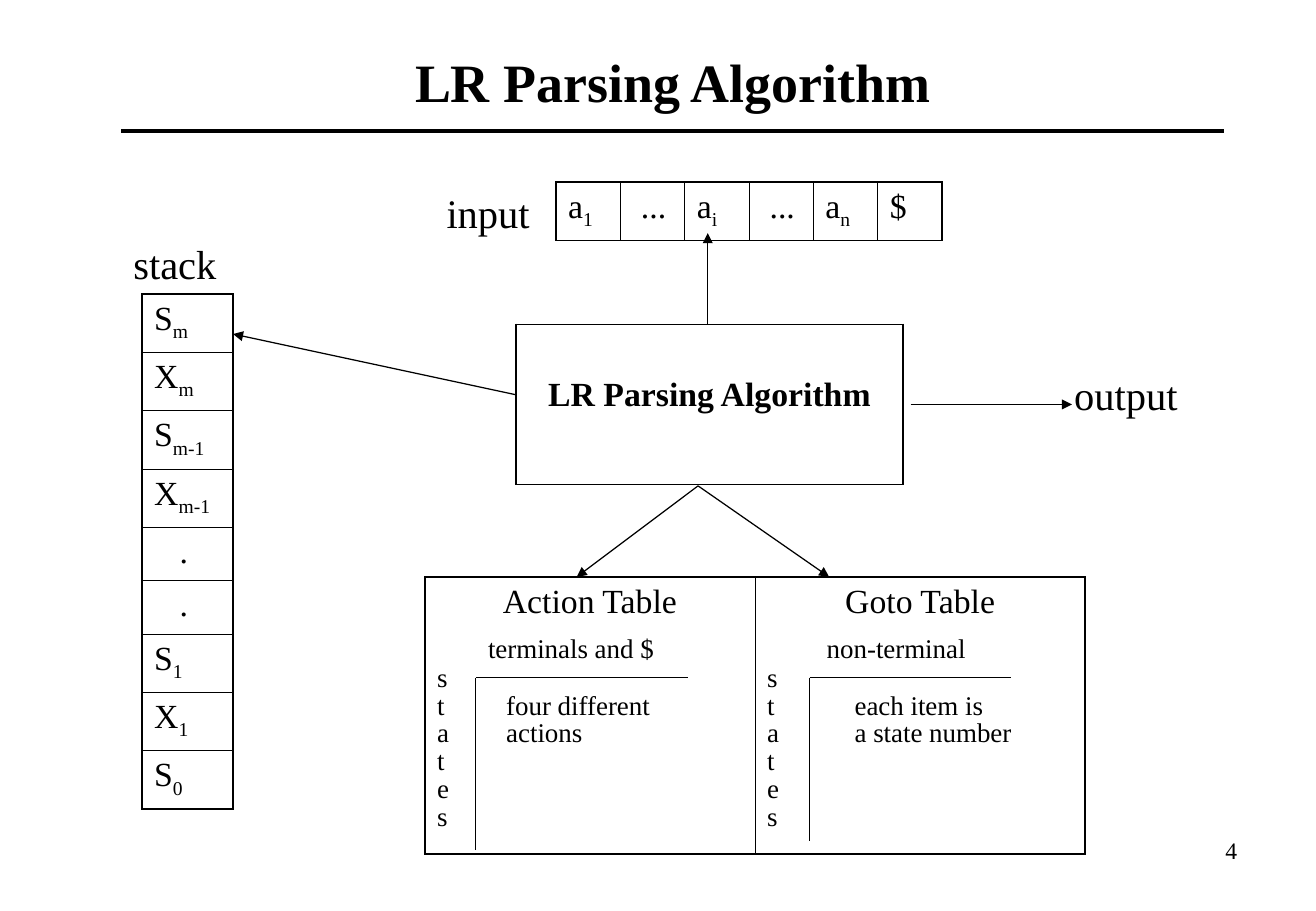
import pptx
import pptx.dml.color
import pptx.enum.shapes
import pptx.enum.text
import pptx.oxml
import pptx.oxml.ns
import pptx.util

PX = 9144  # 100 px to the inch
FONT = "Times New Roman"
BLACK = "000000"
OUTER, INNER = 1.08, 0.45
NAMESPACE = pptx.oxml.ns.nsdecls("a")
ALIGN = pptx.enum.text.PP_ALIGN
MIDDLE = pptx.enum.text.MSO_ANCHOR.MIDDLE


def write(paragraph, text, size, bold=False, indent=0):
    """Write text into a paragraph; what follows an underscore is subscript."""
    base, _, subscript = text.partition("_")
    for part, baseline in ((base, 0), (subscript, -25000)):
        if part:
            run = paragraph.add_run()
            run.text = part
            run.font.name = FONT
            run.font.size = pptx.util.Pt(size)
            run.font.bold = bold
            run.font.color.rgb = pptx.dml.color.RGBColor.from_string(BLACK)
            if baseline:
                run._r.get_or_add_rPr().set("baseline", str(baseline))
    if indent:
        properties = paragraph._p.get_or_add_pPr()
        properties.set("marL", str(indent * PX))
        properties.set("indent", "0")


def add_grid(left, top, widths, heights):
    """Add an unfilled table with a heavier outer border."""
    table = slide.shapes.add_table(
        len(heights), len(widths), left * PX, top * PX,
        sum(widths) * PX, sum(heights) * PX).table
    table.first_row = table.horz_banding = False
    for column, width in zip(table.columns, widths):
        column.width = width * PX
    for row, height in zip(table.rows, heights):
        row.height = height * PX
    for i in range(len(heights)):
        for j in range(len(widths)):
            cell = table.cell(i, j)
            edges = {"lnL": j == 0, "lnR": j == len(widths) - 1,
                     "lnT": i == 0, "lnB": i == len(heights) - 1}
            for tag, is_outer in edges.items():
                width = pptx.util.Pt(OUTER if is_outer else INNER)
                cell._tc.get_or_add_tcPr().append(pptx.oxml.parse_xml(
                    f'<a:{tag} {NAMESPACE} w="{width}"><a:solidFill>'
                    f'<a:srgbClr val="{BLACK}"/></a:solidFill></a:{tag}>'))
            cell.fill.background()
    return table


presentation = pptx.Presentation()
presentation.slide_width = 1084 * PX
presentation.slide_height = 750 * PX
slide = presentation.slides.add_slide(presentation.slide_layouts[5])

title = slide.shapes.title
title.left, title.top, title.width, title.height = 42 * PX, 17 * PX, 1025 * PX, 100 * PX
title.text_frame.vertical_anchor = MIDDLE
title.text_frame.paragraphs[0].alignment = ALIGN.CENTER
write(title.text_frame.paragraphs[0], "LR Parsing Algorithm", 32, bold=True)

labels = [
    ("4", 776, 683, 253, 52, 14, ALIGN.RIGHT),
    ("stack", 100, 192, 96, 50, 24, ALIGN.LEFT),
    ("input", 358, 150, 96, 50, 24, ALIGN.LEFT),
    ("output", 875, 300, 115, 50, 24, ALIGN.LEFT),
]
for text, left, top, width, height, size, alignment in labels:
    box = slide.shapes.add_textbox(left * PX, top * PX, width * PX, height * PX)
    box.text_frame.word_wrap = True
    box.text_frame.paragraphs[0].alignment = alignment
    write(box.text_frame.paragraphs[0], text, size)

stack_symbols = ["S_m", "X_m", "S_m-1", "X_m-1", ".", ".", "S_1", "X_1", "S_0"]
stack = add_grid(117, 242, [75], [44 if s == "." else 48 for s in stack_symbols])
for i, symbol in enumerate(stack_symbols):
    write(stack.cell(i, 0).text_frame.paragraphs[0], symbol, 20,
          indent=21 if symbol == "." else 0)

input_symbols = ["a_1", "...", "a_i", "...", "a_n", "$"]
input_tape = add_grid(458, 150, [53] * len(input_symbols), [48])
for j, symbol in enumerate(input_symbols):
    write(input_tape.cell(0, j).text_frame.paragraphs[0], symbol, 20,
          indent=7 if symbol == "..." else 0)

parser = add_grid(425, 267, [319], [132]).cell(0, 0)
parser.vertical_anchor = MIDDLE
parser.margin_bottom = 21 * PX
parser.text_frame.paragraphs[0].alignment = ALIGN.CENTER
write(parser.text_frame.paragraphs[0], "LR Parsing Algorithm", 20, bold=True)

parsing_tables = [
    ("Action Table", "terminals and $", 42, ["four different", "actions"], 57),
    ("Goto Table", "non-terminal", 49, ["each item is", "a state number"], 72),
]
tables = add_grid(350, 475, [272, 272], [228])
for j, (heading, columns, indent, notes, tab) in enumerate(parsing_tables):
    frame = tables.cell(0, j).text_frame
    frame.paragraphs[0].alignment = ALIGN.CENTER
    write(frame.paragraphs[0], heading, 20)
    paragraph = frame.add_paragraph()
    paragraph.space_before = pptx.util.Pt(8)
    write(paragraph, columns, 16, indent=indent)
    note_rows = dict(zip((1, 2), notes))
    for i, letter in enumerate("states"):
        paragraph = frame.add_paragraph()
        paragraph.line_spacing = 0.7
        paragraph.space_before = pptx.util.Pt(4)
        if i in note_rows:
            paragraph._p.get_or_add_pPr().append(pptx.oxml.parse_xml(
                f'<a:tabLst {NAMESPACE}><a:tab pos="{tab * PX}" algn="l"/></a:tabLst>'))
            letter += "\t" + note_rows[i]
        write(paragraph, letter, 16)

# x1, y1, x2, y2, width in points, arrowhead
lines = [
    (392, 558, 567, 558, 0.75, False),
    (392, 558, 392, 700, 0.75, False),
    (667, 558, 833, 558, 0.75, False),
    (667, 558, 667, 692, 0.75, False),
    (425, 325, 192, 275, 0.75, True),
    (575, 400, 475, 475, 0.75, True),
    (575, 400, 683, 475, 0.75, True),
    (583, 267, 583, 192, 0.75, True),
    (750, 333, 883, 333, 0.75, True),
    (100, 108, 1008, 108, 2.25, False),
]
for x1, y1, x2, y2, width, has_arrow in lines:
    connector = slide.shapes.add_connector(
        pptx.enum.shapes.MSO_CONNECTOR.STRAIGHT, x1 * PX, y1 * PX, x2 * PX, y2 * PX)
    connector.line.width = pptx.util.Pt(width)
    connector.line.color.rgb = pptx.dml.color.RGBColor.from_string(BLACK)
    if has_arrow:
        connector.line._get_or_add_ln().append(
            pptx.oxml.parse_xml(f'<a:tailEnd {NAMESPACE} type="triangle"/>'))
    connector._element.spPr.append(pptx.oxml.parse_xml(f"<a:effectLst {NAMESPACE}/>"))

presentation.save("out.pptx")
